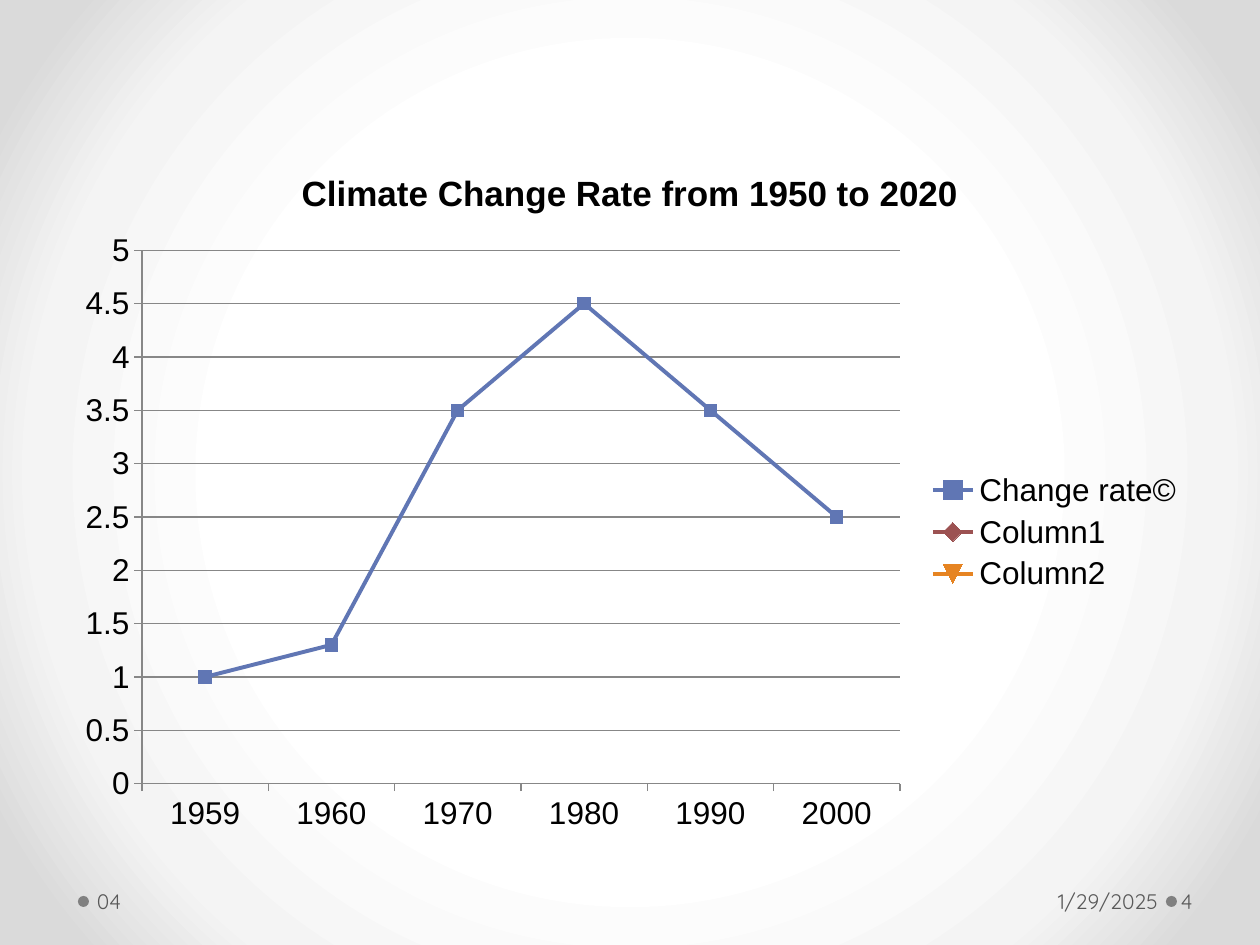
from lxml import etree
from pptx import Presentation
from pptx import util as u
from pptx.chart.data import CategoryChartData
from pptx.dml.color import RGBColor
from pptx.enum import chart as ch, shapes, text
from pptx.oxml import parse_xml
from pptx.oxml.ns import nsdecls, qn

PX = 914400 / 126
COLORS = {"text": "000000", "footer": "595959", "dot": "808080", "axis": "878787"}
BACKGROUND = [(50, "FFFFFF"), (76, "F4F4F4"), (92, "DADADA")]  # percent, colour

TITLE = "Climate Change Rate from 1950 to 2020"
TITLE_BOX = (63, 0, 1134, 220)
CHART_BOX = (63, 220, 1134, 624)
YEARS = ["1959", "1960", "1970", "1980", "1990", "2000"]
NO_DATA = [None] * len(YEARS)
SERIES = [
    ("Change rate©", [1, 1.3, 3.5, 4.5, 3.5, 2.5], "6076B4"),
    ("Column1", NO_DATA, "9C5252"),
    ("Column2", NO_DATA, "E68422"),
]
LEFT, CENTER, RIGHT = text.PP_ALIGN.LEFT, text.PP_ALIGN.CENTER, text.PP_ALIGN.RIGHT
# text, left, width, left inset, right inset, alignment
FOOTERS = [
    ("1/29/2025", 877, 287, 13, 6, RIGHT),
    ("04", 91, 392, 6, 13, LEFT),
    ("4", 1177, 77, 4, 6, LEFT),
]
FOOTER_TOP, FOOTER_HEIGHT = 876, 50
DOT_LEFTS, DOT_TOP, DOT_SIZE = (1166, 78), 896, 11


def px(n):
    return u.Emu(round(n * PX))


def rgb(name):
    return RGBColor.from_string(COLORS.get(name, name))


def paint_background(slide):
    slide.background.fill.solid()
    props = slide.element.find(".//" + qn("p:bgPr"))
    stops = "".join(
        f'<a:gs pos="{pos * 1000}"><a:srgbClr val="{color}"/></a:gs>'
        for pos, color in BACKGROUND)
    gradient = parse_xml(
        f'<a:gradFill {nsdecls("a")} rotWithShape="1"><a:gsLst>{stops}</a:gsLst>'
        '<a:path path="circle"><a:fillToRect l="50000" t="50000" r="50000" b="50000"/>'
        '</a:path></a:gradFill>')
    props.replace(props.find(qn("a:solidFill")), gradient)


def add_text(slide, box, words, font, size, color, align, anchor, insets=(13, 13)):
    sp = slide.shapes.add_textbox(*map(px, box))
    tf = sp.text_frame
    tf.word_wrap = True
    tf.vertical_anchor = anchor
    tf.margin_left, tf.margin_right = map(px, insets)
    p = tf.paragraphs[0]
    p.text = words
    p.alignment = align
    p.font.name, p.font.size = font, u.Pt(size)
    p.font.color.rgb = rgb(color)
    return p


def add_line_chart(slide):
    data = CategoryChartData()
    data.categories = YEARS
    for name, values, _ in SERIES:
        data.add_series(name, values)
    chart = slide.shapes.add_chart(
        ch.XL_CHART_TYPE.LINE_MARKERS, *map(px, CHART_BOX), data).chart
    chart.has_title = False
    chart.font.name, chart.font.size = "Arial", u.Pt(18)
    chart.font.color.rgb = rgb("text")
    chart.has_legend = True
    chart.legend.position = ch.XL_LEGEND_POSITION.RIGHT
    chart.legend.include_in_layout = False

    value_axis = chart.value_axis
    value_axis.minimum_scale, value_axis.maximum_scale = 0, 5
    value_axis.major_unit = 0.5
    value_axis.has_major_gridlines = True
    for axis in (chart.category_axis, value_axis):
        axis.major_tick_mark = ch.XL_TICK_MARK.OUTSIDE
    for part in (chart.category_axis, value_axis, value_axis.major_gridlines):
        part.format.line.color.rgb = rgb("axis")
        part.format.line.width = u.Pt(0.75)

    plot = chart.plots[0]
    plot.vary_by_categories = False
    for series, (_, _, color) in zip(plot.series, SERIES):
        series.smooth = False
        series.format.line.color.rgb = rgb(color)
        series.format.line.width = u.Pt(2.25)
        marker = series.marker
        marker.size = 7
        marker.format.fill.solid()
        marker.format.fill.fore_color.rgb = rgb(color)
        marker.format.line.color.rgb = rgb(color)


def main():
    prs = Presentation()
    prs.slide_width, prs.slide_height = px(1260), px(945)
    slide = prs.slides.add_slide(prs.slide_layouts[6])
    paint_background(slide)

    for left in DOT_LEFTS:
        dot = slide.shapes.add_shape(
            shapes.MSO_SHAPE.OVAL, *map(px, (left, DOT_TOP, DOT_SIZE, DOT_SIZE)))
        dot.shadow.inherit = False
        dot.fill.solid()
        dot.fill.fore_color.rgb = rgb("dot")
        dot.line.fill.background()

    title = add_text(slide, TITLE_BOX, TITLE, "Arial", 20, "text", CENTER,
                     text.MSO_ANCHOR.BOTTOM)
    title.font.bold = True
    title.line_spacing = u.Pt(58)
    add_line_chart(slide)
    for words, left, width, inset_left, inset_right, align in FOOTERS:
        add_text(slide, (left, FOOTER_TOP, width, FOOTER_HEIGHT), words, "Quicksand",
                 12, "footer", align, text.MSO_ANCHOR.MIDDLE, (inset_left, inset_right))
    prs.save("out.pptx")


if __name__ == "__main__":
    main()
